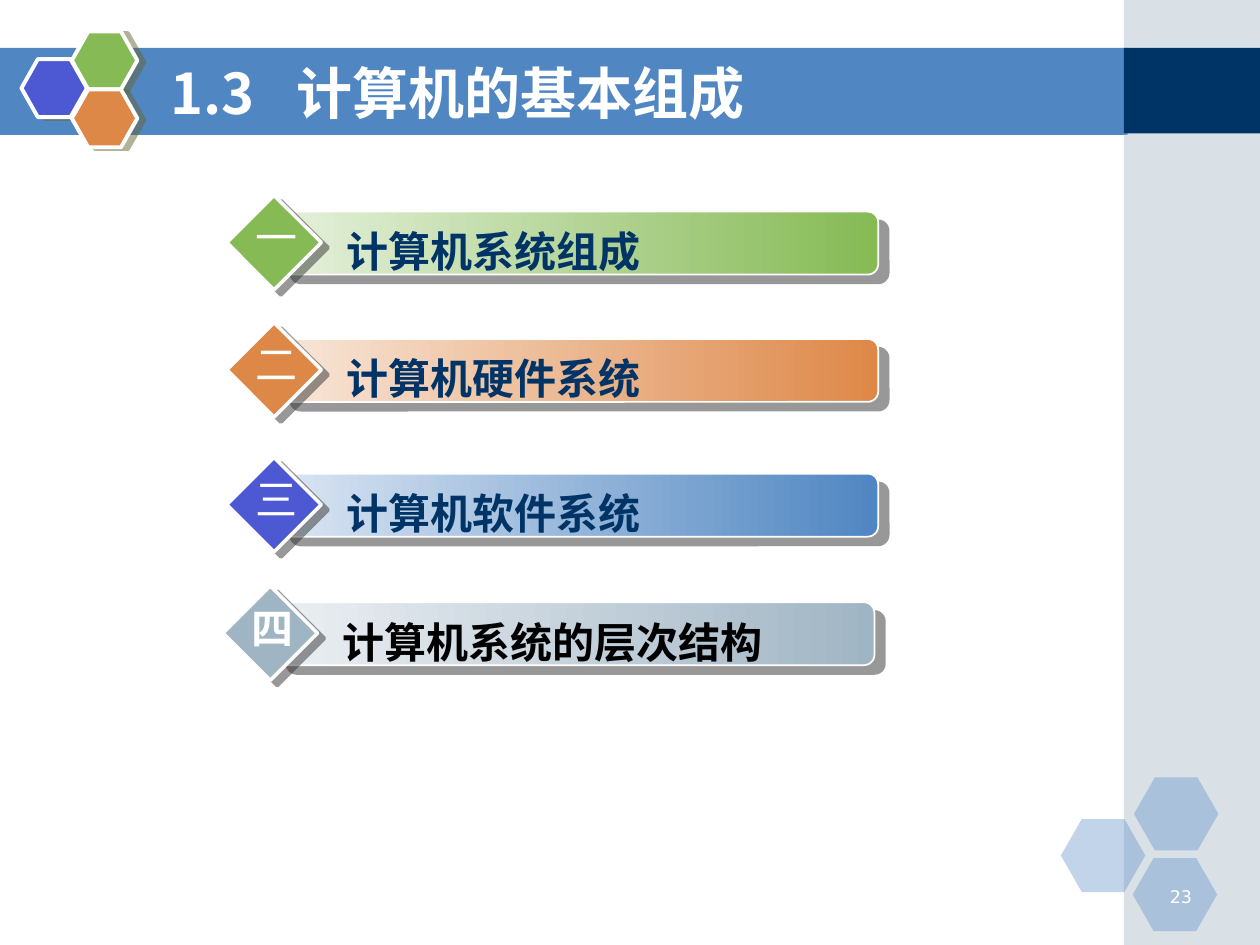
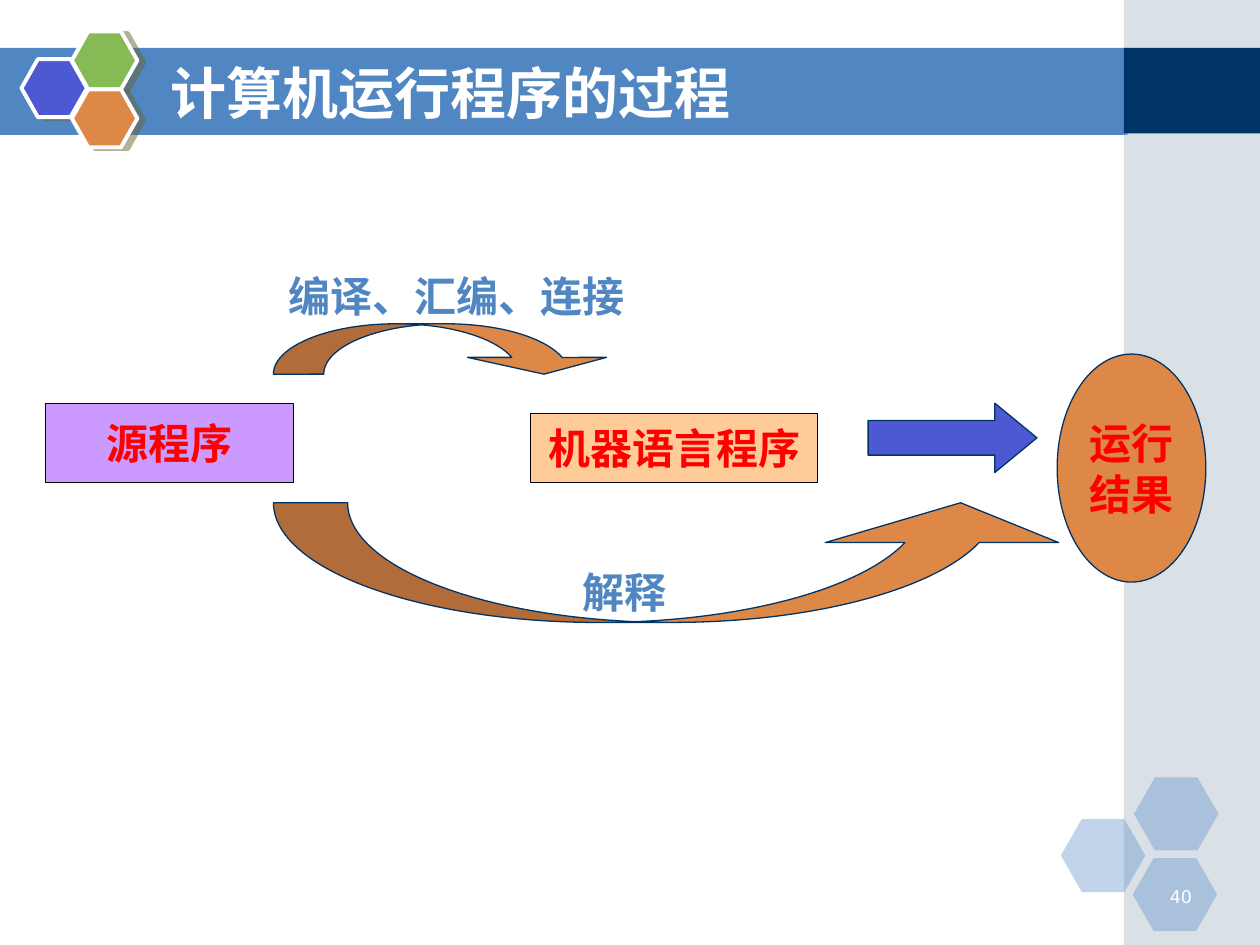
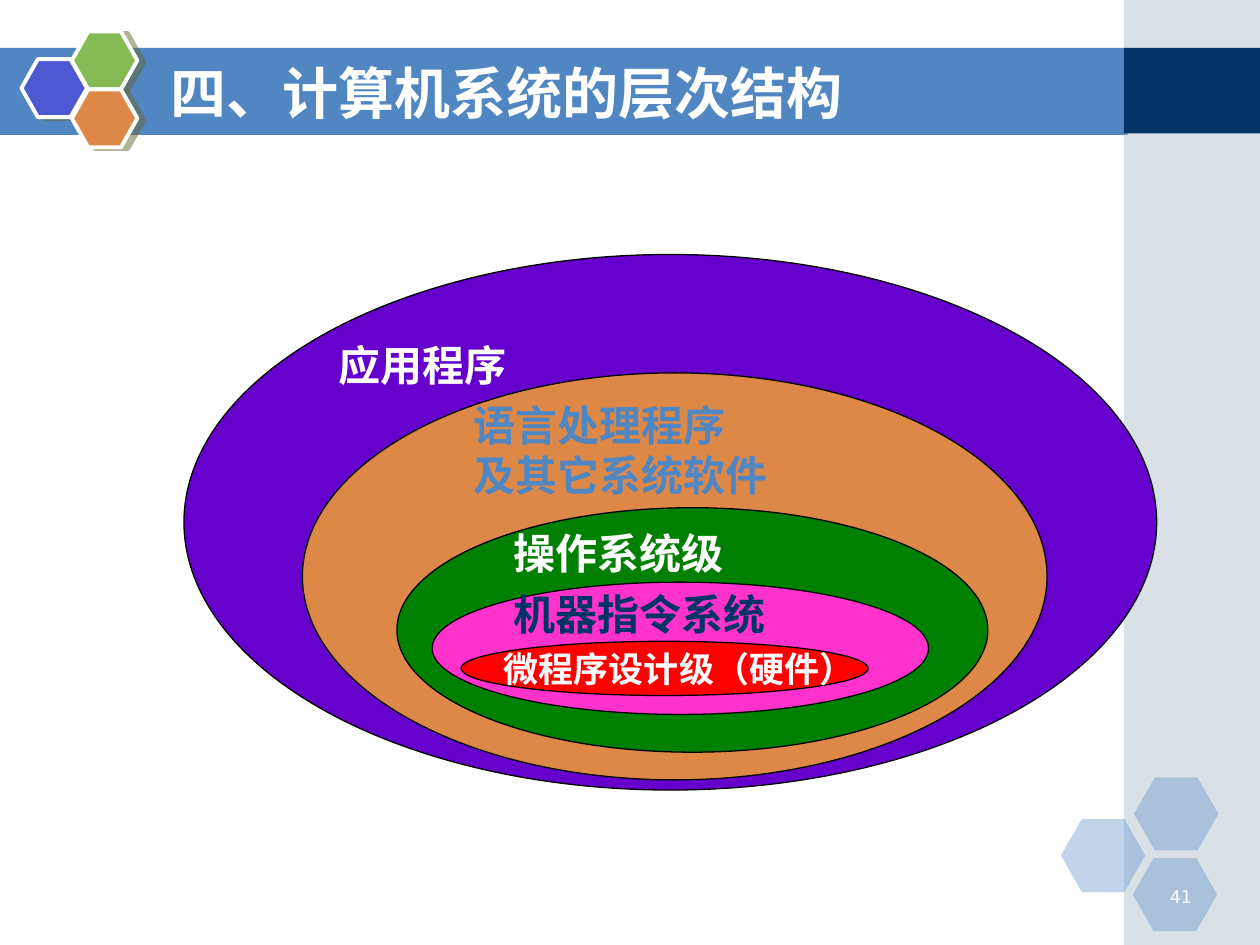
"""Build three slides on the composition of a computer system."""
from lxml import etree
from pptx import Presentation
from pptx.dml.color import RGBColor
from pptx.enum.shapes import MSO_SHAPE
from pptx.enum.text import MSO_ANCHOR, MSO_AUTO_SIZE, PP_ALIGN
from pptx.oxml.ns import qn
from pptx.util import Inches, Pt

RECT, ROUND_RECT = MSO_SHAPE.RECTANGLE, MSO_SHAPE.ROUNDED_RECTANGLE
HEXAGON, DIAMOND, OVAL = MSO_SHAPE.HEXAGON, MSO_SHAPE.DIAMOND, MSO_SHAPE.OVAL
RIGHT_ARROW = MSO_SHAPE.RIGHT_ARROW
CURVED_DOWN, CURVED_UP = MSO_SHAPE.CURVED_DOWN_ARROW, MSO_SHAPE.CURVED_UP_ARROW
LEFT, CENTER, RIGHT = PP_ALIGN.LEFT, PP_ALIGN.CENTER, PP_ALIGN.RIGHT
TOP, MIDDLE = MSO_ANCHOR.TOP, MSO_ANCHOR.MIDDLE

BLUE, NAVY, GREY = "5086C2", "003366", "A0B5C4"
INDIGO, GREEN, ORANGE = "4C59D2", "85BA54", "DE8848"
WHITE, BLACK, RED = "FFFFFF", "000000", "FF0000"
BODY_FONT, SERIF_FONT = "Arial", "Times New Roman"
TITLE_FONT, NUMBER_FONT = "Noto Sans CJK SC", "DejaVu Sans"


def rgb(hex_color):
    """Return the colour for a hex string."""
    return RGBColor.from_string(hex_color)


def add_alpha(color_parent, percent):
    """Make the first colour below an element partly transparent."""
    color = color_parent.find(".//" + qn("a:srgbClr"))
    etree.SubElement(color, qn("a:alpha"), val=str(percent * 1000))


def add_shadow(sp, color, distance, angle):
    """Give a shape a sharp, half-transparent outer shadow."""
    effects = sp.element.spPr.find(qn("a:effectLst"))
    shadow = etree.SubElement(effects, qn("a:outerShdw"), blurRad="0", dist=str(Pt(distance)),
                              dir=str(angle * 60000), algn="ctr", rotWithShape="0")
    etree.SubElement(shadow, qn("a:srgbClr"), val=color)
    add_alpha(shadow, 50)


def add_shape(s, kind, box, fill, line=None, width=0.75, adj=(), alpha=None):
    """Add a preset shape; a pair of fills makes a left-to-right gradient."""
    sp = s.shapes.add_shape(kind, *map(Inches, box))
    sp.shadow.inherit = False
    for i, value in enumerate(adj):
        sp.adjustments[i] = value
    if isinstance(fill, tuple):
        sp.fill.gradient()
        sp.fill.gradient_angle = 0
        for stop, color in zip(sp.fill.gradient_stops, fill):
            stop.color.rgb = rgb(color)
    else:
        sp.fill.solid()
        sp.fill.fore_color.rgb = rgb(fill)
    if alpha:
        add_alpha(sp.element.spPr, alpha)
    if line:
        sp.line.color.rgb = rgb(line)
        sp.line.width = Pt(width)
    else:
        sp.line.fill.background()
    return sp


def set_text(sp, text, color, size=24, font=BODY_FONT, bold=True, align=LEFT,
             anchor=TOP, wrap=True):
    """Write text, one paragraph per line, in one style."""
    tf = sp.text_frame
    tf.text = text
    tf.word_wrap = wrap
    tf.auto_size = MSO_AUTO_SIZE.NONE
    tf.vertical_anchor = anchor
    for p in tf.paragraphs:
        p.alignment = align
        p.font.name, p.font.size, p.font.bold = font, Pt(size), bold
        p.font.color.rgb = rgb(color)


def add_label(s, box, text, color, **style):
    """Add a text box and return it."""
    sp = s.shapes.add_textbox(*map(Inches, box))
    set_text(sp, text, color, **style)
    return sp


def add_hexagons(s, x, y, size, offsets, fills, **style):
    """Add a cluster of equal hexagons and return them."""
    return [add_shape(s, HEXAGON, (x + dx, y + dy, *size), fill, **style)
            for (dx, dy), fill in zip(offsets, fills)]


def add_title(s, text, tab=None):
    """Place and style the title in the band, with an optional tab stop."""
    title = s.shapes.title
    title.element.getparent().append(title.element)
    title.left, title.top, title.width, title.height = map(Inches, (1.25, 0.42, 7.33, 0.62))
    title.text_frame.text = text
    if tab:
        p_pr = title.text_frame.paragraphs[0]._p.get_or_add_pPr()
        tabs = etree.SubElement(p_pr, qn("a:tabLst"))
        etree.SubElement(tabs, qn("a:tab"), pos=str(Inches(tab)), algn="l")
    set_text(title, text, WHITE, size=32, font=TITLE_FONT, anchor=MIDDLE)


def add_base_slide(prs, title, number, tab=None):
    """Add a slide with the bands, hexagons, title and page number."""
    s = prs.slides.add_slide(prs.slide_layouts[5])
    add_shape(s, RECT, (-0.01, 0.38, 8.96, 0.69), BLUE)
    add_shape(s, RECT, (8.92, 0, 1.08, 7.5), GREY, alpha=40)
    add_shape(s, RECT, (8.92, 0.38, 1.08, 0.68), NAVY)
    add_hexagons(s, 8.42, 6.17, (0.67, 0.58), ((0, 0.33), (0.58, 0), (0.57, 0.64)),
                 (BLUE,) * 3, adj=(0.286,), alpha=35)
    for sp in add_hexagons(s, 0.17, 0.25, (0.52, 0.46), ((0, 0.22), (0.4, 0), (0.4, 0.46)),
                           (INDIGO, GREEN, ORANGE), adj=(0.283,), line=WHITE, width=2.25):
        add_shadow(sp, "666633", 4.1, 14)
    add_label(s, (9.06, 6.98, 0.5, 0.25), number, WHITE, size=10, font=NUMBER_FONT,
              bold=False, align=RIGHT)
    add_title(s, title, tab)
    return s


def add_agenda_item(s, x, y, numeral, text, fill, gradient, color=NAVY, bold=False):
    """Add a numbered diamond with its gradient bar, from its top left corner."""
    bar = add_shape(s, ROUND_RECT, (x + 0.42, y + 0.13, 4.75, 0.5), gradient, WHITE, 1,
                    adj=(0.167,))
    add_shadow(bar, "333333", 7.8, 40)
    diamond = add_shape(s, DIAMOND, (x, y, 0.75, 0.75), fill, WHITE, 2)
    add_shadow(diamond, "333333", 5, 37)
    label = add_label(s, (x + 0.67, y + 0.19, 3.75, 0.5), text, color)
    label.text_frame.margin_left = Inches(0.28)
    add_label(s, (x + 0.13, y + 0.08, 0.53, 0.5), numeral, WHITE, bold=bold)


def build_agenda(prs):
    """Build the agenda slide."""
    s = add_base_slide(prs, "1.3\t计算机的基本组成", "23", tab=0.96)
    add_agenda_item(s, 1.8, 1.55, "一", "计算机系统组成", GREEN, ("E5F0DB", GREEN))
    add_agenda_item(s, 1.8, 2.56, "二", "计算机硬件系统", ORANGE, ("F8E6D8", ORANGE))
    add_agenda_item(s, 1.8, 3.63, "三", "计算机软件系统", INDIGO, ("DAE5F2", BLUE))
    add_agenda_item(s, 1.77, 4.65, "四", "计算机系统的层次结构", GREY, ("EBEFF3", GREY),
                    color=BLACK, bold=True)


def build_process(prs):
    """Build the slide on how a program is run."""
    s = add_base_slide(prs, "计算机运行程序的过程", "40")
    nodes = (
        (RECT, (0.36, 3.2, 1.97, 0.63), "CC99FF", BLACK, "源程序"),
        (RECT, (4.21, 3.28, 2.28, 0.55), "FFCC99", BLACK, "机器语言程序"),
        (OVAL, (8.39, 2.81, 1.18, 1.81), ORANGE, NAVY, "运行\n结果"),
    )
    for kind, box, fill, line, text in nodes:
        sp = add_shape(s, kind, box, fill, line)
        set_text(sp, text, RED, align=CENTER, anchor=MIDDLE, wrap=False)
    arrows = (
        (RIGHT_ARROW, (6.89, 3.2, 1.34, 0.55), INDIGO, (0.5, 0.608)),
        (CURVED_UP, (2.17, 3.99, 6.38, 0.95), ORANGE, (0.62, 1.95, 0.333)),
        (CURVED_DOWN, (2.17, 2.57, 2.7, 0.4), ORANGE, (1.4, 2.76, 0.333)),
    )
    for kind, box, fill, adj in arrows:
        add_shape(s, kind, box, fill, NAVY, adj=adj)
    add_label(s, (2.01, 2.1, 3.23, 0.5), "编译、汇编、连接", BLUE, align=CENTER)
    add_label(s, (4.21, 4.45, 1.49, 0.5), "解释", BLUE, align=CENTER)


def build_layers(prs):
    """Build the slide with the nested layers of a computer system."""
    s = add_base_slide(prs, "四、计算机系统的层次结构", "41")
    layers = (
        ((1.46, 2.02, 7.72, 4.25), "6600CC"),
        ((2.4, 2.96, 5.91, 3.23), ORANGE),
        ((3.15, 4.03, 4.69, 1.94), "008000"),
        ((3.43, 4.62, 3.94, 1.05), "FF33CC"),
        ((3.66, 5.09, 3.23, 0.43), RED),
    )
    ovals = [add_shape(s, OVAL, box, fill, BLACK) for box, fill in layers]
    set_text(ovals[0], "应用程序", WHITE, font=SERIF_FONT)
    labels = (
        ((3.66, 3.12, 2.58, 0.9), "语言处理程序\n及其它系统软件", BLUE, 24),
        ((3.98, 4.14, 2, 0.5), "操作系统级", WHITE, 24),
        ((3.98, 4.62, 2.28, 0.5), "机器指令系统", NAVY, 24),
        ((3.9, 5.09, 3.23, 0.44), "微程序设计级（硬件）", WHITE, 20),
    )
    for box, text, color, size in labels:
        add_label(s, box, text, color, size=size, font=SERIF_FONT)


def main():
    """Build and save the presentation."""
    prs = Presentation()
    prs.slide_width, prs.slide_height = Inches(10), Inches(7.5)
    build_agenda(prs)
    build_process(prs)
    build_layers(prs)
    prs.save("out.pptx")


if __name__ == "__main__":
    main()
